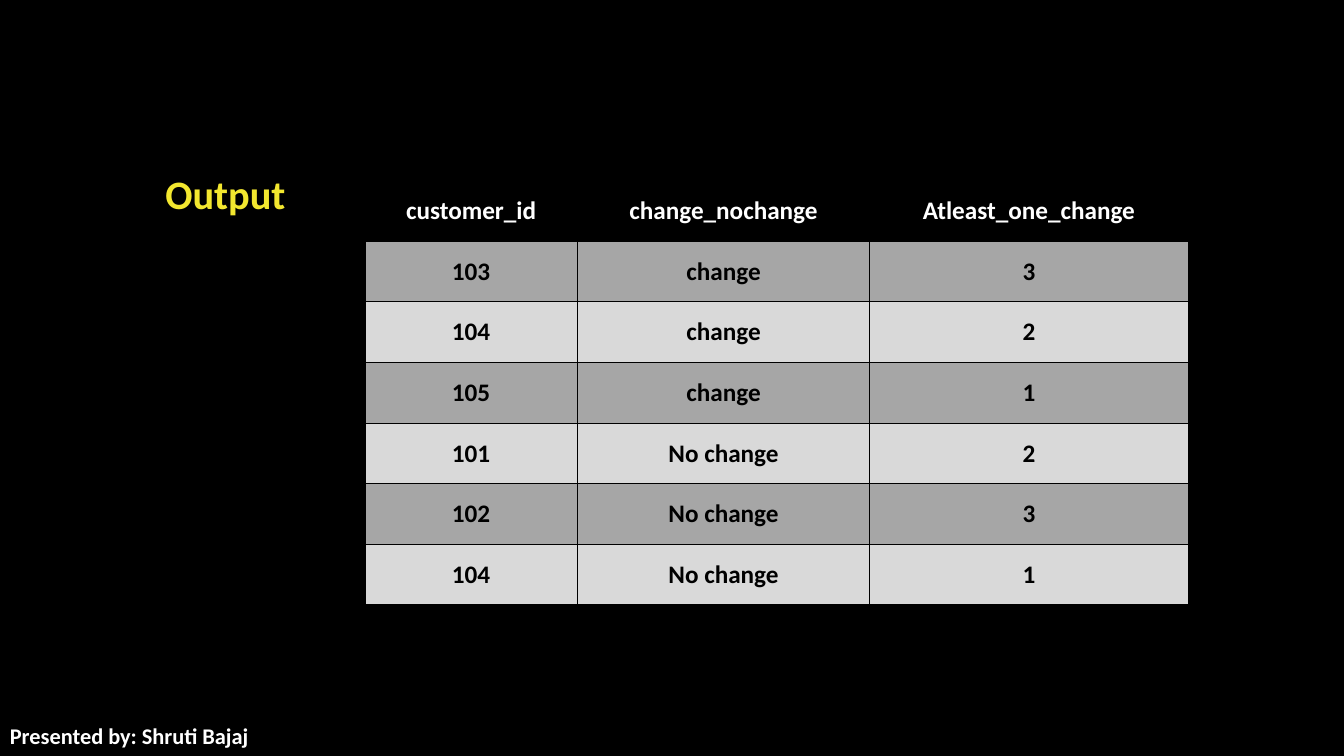
"""Build the query output slide with its customer change table."""
from dataclasses import dataclass

from lxml import etree
from pptx import Presentation
from pptx.dml.color import RGBColor
from pptx.enum.text import MSO_ANCHOR, PP_ALIGN
from pptx.oxml.ns import qn
from pptx.util import Pt

MIDDLE = MSO_ANCHOR.MIDDLE
LEFT, CENTER = PP_ALIGN.LEFT, PP_ALIGN.CENTER
FONT = "Calibri"
BLACK, WHITE, YELLOW = "000000", "FFFFFF", "F3E72F"
BANDS = ("A6A6A6", "D9D9D9")
COLUMN_WIDTHS = (151.9, 208.8, 227.5)
ROW_HEIGHT = 43.3


@dataclass(frozen=True)
class Record:
    customer_id: str
    status: str
    count: str

    def values(self) -> tuple[str, str, str]:
        return self.customer_id, self.status, self.count


@dataclass(frozen=True)
class Style:
    size: float
    color: str
    align: PP_ALIGN = LEFT


HEADER = Record("customer_id", "change_nochange", "Atleast_one_change")
RECORDS = (
    Record("103", "change", "3"),
    Record("104", "change", "2"),
    Record("105", "change", "1"),
    Record("101", "No change", "2"),
    Record("102", "No change", "3"),
    Record("104", "No change", "1"),
)


def rgb(value: str) -> RGBColor:
    return RGBColor.from_string(value)


def write(tf, text: str, style: Style) -> None:
    tf.text = text
    p = tf.paragraphs[0]
    p.alignment = style.align
    p.font.name = FONT
    p.font.size = Pt(style.size)
    p.font.bold = True
    p.font.color.rgb = rgb(style.color)


def place(sp, left: float, top: float, width: float, height: float) -> None:
    sp.left, sp.top, sp.width, sp.height = map(Pt, (left, top, width, height))
    sp.text_frame.word_wrap = True
    sp.text_frame.vertical_anchor = MIDDLE


def add_borders(cell, color: str, width: float) -> None:
    tc_pr = cell._tc.get_or_add_tcPr()
    for i, side in enumerate(("a:lnL", "a:lnR", "a:lnT", "a:lnB")):
        ln = etree.Element(qn(side), w=str(Pt(width)))
        fill = etree.SubElement(ln, qn("a:solidFill"))
        etree.SubElement(fill, qn("a:srgbClr"), val=color)
        tc_pr.insert(i, ln)


def format_cell(cell, text: str, fill: str, style: Style) -> None:
    cell.margin_left = cell.margin_right = cell.margin_top = Pt(0.5)
    cell.margin_bottom = Pt(0)
    cell.vertical_anchor = MIDDLE
    cell.fill.solid()
    cell.fill.fore_color.rgb = rgb(fill)
    write(cell.text_frame, text, style)
    add_borders(cell, BLACK, 0.5)


def add_output_table(s, left: float, top: float) -> None:
    rows = (HEADER, *RECORDS)
    table = s.shapes.add_table(
        len(rows), len(COLUMN_WIDTHS), Pt(left), Pt(top),
        Pt(sum(COLUMN_WIDTHS)), Pt(ROW_HEIGHT * len(rows))).table
    for column, width in zip(table.columns, COLUMN_WIDTHS):
        column.width = Pt(width)
    for i, record in enumerate(rows):
        table.rows[i].height = Pt(ROW_HEIGHT)
        fill = BANDS[(i - 1) % 2] if i else BLACK
        style = Style(18, BLACK if i else WHITE, CENTER)
        for j, text in enumerate(record.values()):
            format_cell(table.cell(i, j), text, fill, style)


def main() -> None:
    prs = Presentation()
    prs.slide_width, prs.slide_height = Pt(960), Pt(540)
    s = prs.slides.add_slide(prs.slide_layouts[5])
    s.background.fill.solid()
    s.background.fill.fore_color.rgb = rgb(BLACK)

    title = s.shapes.title
    place(title, 110.9, 107.3, 113.8, 61.9)
    write(title.text_frame, "Output", Style(28.8, YELLOW))

    add_output_table(s, 260.6, 128.9)

    presenter = s.shapes.add_textbox(0, 0, 0, 0)
    place(presenter, 0, 510.5, 616.3, 29.5)
    write(presenter.text_frame, "Presented by: Shruti Bajaj", Style(16, WHITE))

    prs.save("out.pptx")


if __name__ == "__main__":
    main()
